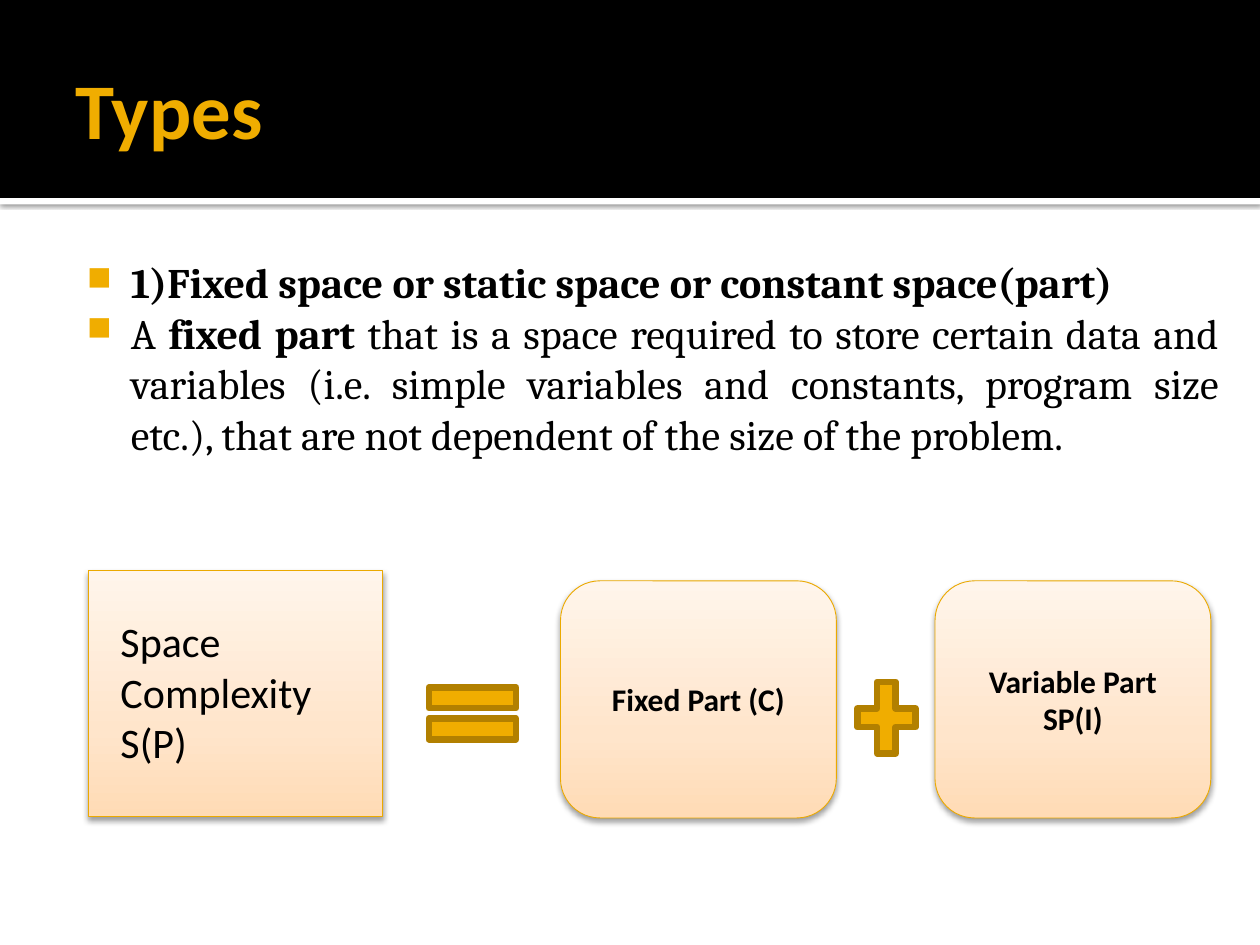
from dataclasses import dataclass
from typing import NamedTuple

from lxml.etree import SubElement
from pptx import Presentation
from pptx.dml.color import RGBColor
from pptx.enum.shapes import MSO_SHAPE as Preset
from pptx.enum.text import MSO_ANCHOR as Anchor, PP_ALIGN as Align
from pptx.oxml.ns import qn
from pptx.util import Cm, Pt


@dataclass(frozen=True)
class Theme:
    accent: str = "F0AD00"
    card_line: str = "EBA900"
    sign_line: str = "B28000"
    ink: str = "000000"
    paper: str = "FFFFFF"
    card_stops: tuple = ((0, "FFDBB5"), (35, "FFE5CB"), (100, "FFF5EB"))
    heading_font: str = "Calibri"
    body_font: str = "Cambria"
    title_size: float = 45
    body_size: float = 24
    card_size: float = 18


class Box(NamedTuple):
    left: float
    top: float
    width: float
    height: float

    def lengths(self) -> list:
        return [Cm(side) for side in self]


class Shadow(NamedTuple):
    opacity: int
    blur: float
    distance: float


class Card(NamedTuple):
    preset: Preset
    box: Box
    label: str = ""


class Sign(NamedTuple):
    preset: Preset
    box: Box


THEME = Theme()
STRIP_SHADOW = Shadow(60, 2.5, 0.8)
CARD_SHADOW = Shadow(38, 3.5, 2)
BULLET_INDENT = Cm(0.89)
BULLET_MARGIN = Cm(1.22)

HEADER = Box(0, 0, 25.4, 3.99)
STRIP = Box(0, 3.99, 25.4, 0.13)
TITLE = Box(1.27, 0.43, 22.86, 3.48)
BODY = Box(1.27, 4.93, 23.55, 12.85)
TOTAL_LABEL = Box(2.18, 12.29, 4.57, 3.33)

# Each paragraph is a list of (text, bold) pieces.
POINTS = [
    [("1)Fixed space or static space or constant space(part)", True)],
    [("A ", False), ("fixed part ", True),
     ("that is a space required to store certain data and variables "
      "(i.e. simple variables and constants, program size etc.), "
      "that are not dependent of the size of the problem.", False)],
]
CARDS = [
    Card(Preset.RECTANGLE, Box(1.78, 11.51, 5.94, 4.95)),
    Card(Preset.ROUNDED_RECTANGLE, Box(11.3, 11.71, 5.56, 4.78), "Fixed Part (C)"),
    Card(Preset.ROUNDED_RECTANGLE, Box(18.85, 11.71, 5.56, 4.78), "Variable Part SP(I)"),
]
SIGNS = [
    Sign(Preset.MATH_EQUAL, Box(8.33, 13.49, 2.39, 1.78)),
    Sign(Preset.MATH_PLUS, Box(17.07, 13.49, 1.6, 1.96)),
]


def apply(target, values: dict) -> None:
    for attribute, value in values.items():
        setattr(target, attribute, value)


def add_piece(paragraph, text: str, font: str, size: float,
              color: str = THEME.ink, bold: bool = False) -> None:
    run = paragraph.add_run()
    run.text = text
    apply(run.font, {"name": font, "size": Pt(size), "bold": bold})
    run.font.color.rgb = RGBColor.from_string(color)


def add_frame(slide, box: Box, **settings):
    frame = slide.shapes.add_textbox(*box.lengths()).text_frame
    apply(frame, {"word_wrap": True, **settings})
    return frame


def add_flat(slide, preset: Preset, box: Box, fill: str = "",
             line: str = "", weight: float = 0):
    shape = slide.shapes.add_shape(preset, *box.lengths())
    shape.shadow.inherit = False
    if fill:
        shape.fill.solid()
        shape.fill.fore_color.rgb = RGBColor.from_string(fill)
    if line:
        shape.line.color.rgb = RGBColor.from_string(line)
        shape.line.width = Pt(weight)
    else:
        shape.line.fill.background()
    return shape


def cast_shadow(shape, shadow: Shadow) -> None:
    effects = shape._element.spPr.find(qn("a:effectLst"))
    outer = SubElement(effects, qn("a:outerShdw"), blurRad=str(Pt(shadow.blur)),
                       dist=str(Pt(shadow.distance)), dir="5400000", rotWithShape="0")
    color = SubElement(outer, qn("a:srgbClr"), val=THEME.ink)
    SubElement(color, qn("a:alpha"), val=str(shadow.opacity * 1000))


def shade_upwards(shape) -> None:
    """Fill with the card gradient, darkest at the bottom."""
    shape.fill.gradient()
    shape.fill.gradient_angle = 90
    stops = shape._element.spPr.find(f"{qn('a:gradFill')}/{qn('a:gsLst')}")
    for stop in list(stops):
        stops.remove(stop)
    for position, color in THEME.card_stops:
        stop = SubElement(stops, qn("a:gs"), pos=str(position * 1000))
        SubElement(stop, qn("a:srgbClr"), val=color)


def add_card(slide, card: Card) -> None:
    shape = add_flat(slide, card.preset, card.box, line=THEME.card_line, weight=0.5)
    shade_upwards(shape)
    cast_shadow(shape, CARD_SHADOW)
    if card.label:
        apply(shape.text_frame, {"word_wrap": True, "vertical_anchor": Anchor.MIDDLE})
        paragraph = shape.text_frame.paragraphs[0]
        paragraph.alignment = Align.CENTER
        add_piece(paragraph, card.label, THEME.heading_font, THEME.card_size, bold=True)


def set_bullet(paragraph) -> None:
    properties = paragraph._p.get_or_add_pPr()
    properties.set("marL", str(BULLET_MARGIN))
    properties.set("indent", str(-BULLET_INDENT))
    color = SubElement(properties, qn("a:buClr"))
    SubElement(color, qn("a:srgbClr"), val=THEME.accent)
    SubElement(properties, qn("a:buSzPct"), val="80000")
    SubElement(properties, qn("a:buChar"), char="■")


def add_points(slide) -> None:
    frame = add_frame(slide, BODY, margin_left=Cm(0.15), margin_top=Cm(0.25))
    for index, pieces in enumerate(POINTS):
        paragraph = frame.add_paragraph() if index else frame.paragraphs[0]
        paragraph.alignment = Align.JUSTIFY
        set_bullet(paragraph)
        for text, bold in pieces:
            add_piece(paragraph, text, THEME.body_font, THEME.body_size, bold=bold)


def main() -> None:
    deck = Presentation()
    apply(deck, {"slide_width": Cm(25.4), "slide_height": Cm(19.05)})
    slide = deck.slides.add_slide(deck.slide_layouts[6])

    strip = add_flat(slide, Preset.RECTANGLE, STRIP, THEME.paper)
    cast_shadow(strip, STRIP_SHADOW)
    add_flat(slide, Preset.RECTANGLE, HEADER, THEME.ink)

    title = add_frame(slide, TITLE, vertical_anchor=Anchor.MIDDLE, margin_right=Cm(0.13))
    add_piece(title.paragraphs[0], "Types", THEME.heading_font, THEME.title_size,
              THEME.accent, bold=True)
    add_points(slide)

    for card in CARDS:
        add_card(slide, card)
    total = add_frame(slide, TOTAL_LABEL)
    add_piece(total.paragraphs[0], "Space Complexity S(P)",
              THEME.heading_font, THEME.body_size)
    for sign in SIGNS:
        add_flat(slide, sign.preset, sign.box, THEME.accent, THEME.sign_line, 3.78)

    deck.save("out.pptx")


if __name__ == "__main__":
    main()
